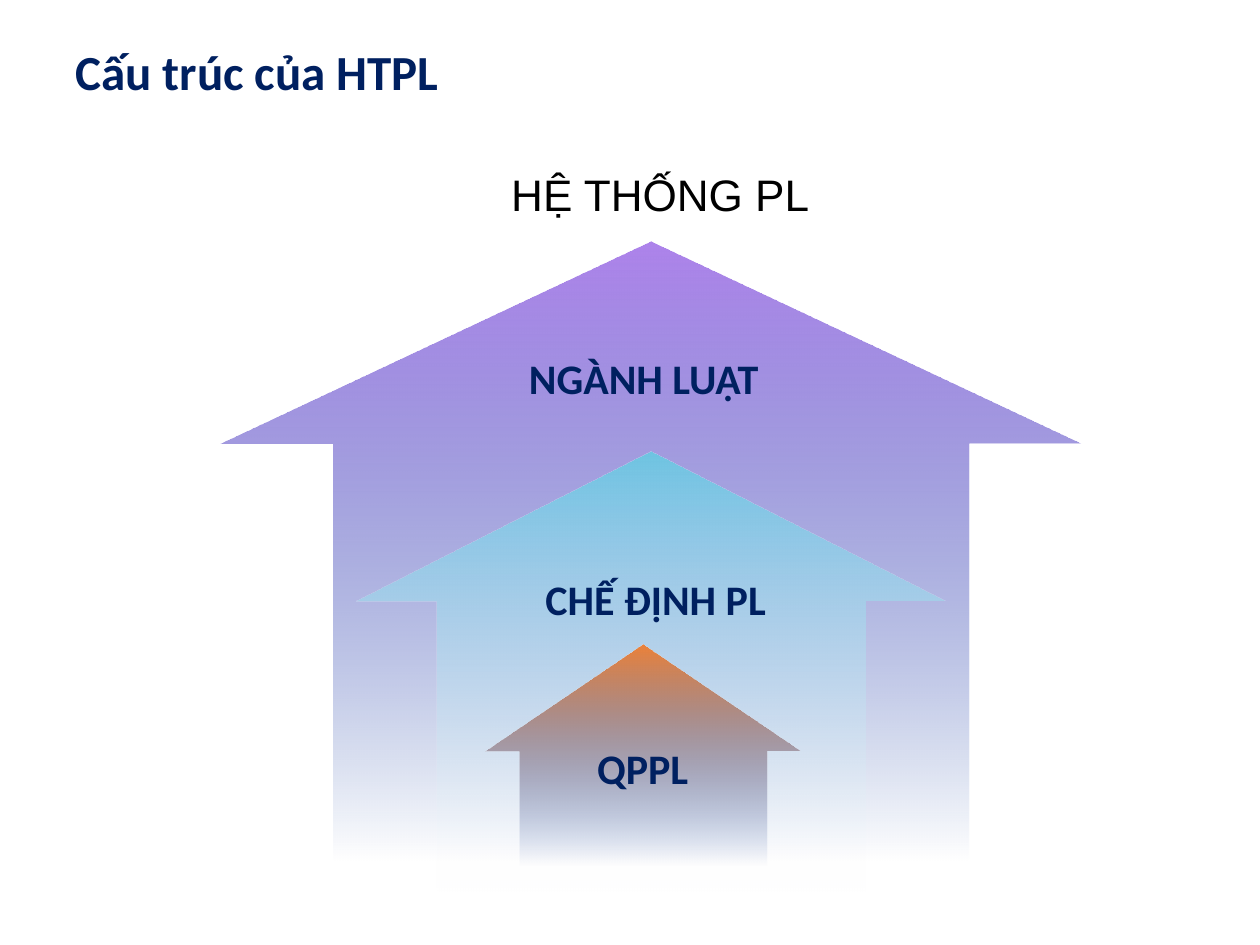
from lxml import etree
from pptx import Presentation
from pptx import util as u
from pptx.dml.color import RGBColor
from pptx.enum import shapes, text
from pptx.oxml.ns import qn

Pt = u.Pt
THEME = {
    "navy": RGBColor.from_string("002060"),
    "black": RGBColor.from_string("000000"),
    "heading": 28,
    "title": 25.2,
    "label": 24,
    "body_font": "Calibri",
    "title_font": "Arial",
}


def write(shape, wording, frame_format, font_format):
    frame = shape.text_frame
    for name, value in frame_format.items():
        setattr(frame, name, value)
    paragraph = frame.paragraphs[0]
    run = paragraph.add_run()
    run.text = wording
    color = font_format["color"]
    for name, value in font_format.items():
        if name != "color":
            setattr(run.font, name, value)
    run.font.color.rgb = color
    return paragraph


prs = Presentation()
prs.slide_width, prs.slide_height = Pt(720), Pt(540)
slide = prs.slides.add_slide(prs.slide_layouts[5])

# Title above the arrows
title = slide.shapes.title
title_place = {"left": 272.9, "top": 90.7, "width": 208.8, "height": 40.3}
for name, value in title_place.items():
    setattr(title, name, Pt(value))
title_line = write(
    title, "HỆ THỐNG PL",
    {"vertical_anchor": text.MSO_ANCHOR.MIDDLE, "word_wrap": True,
     "auto_size": text.MSO_AUTO_SIZE.NONE},
    {"name": THEME["title_font"], "size": Pt(THEME["title"]), "bold": False,
     "color": THEME["black"]})
title_line.alignment = text.PP_ALIGN.CENTER

# Nested arrows, outermost first:
# place, (shaft, head) ratios, top colour, fading colour, label, label place
levels = [
    ((126, 138.2, 491.8, 354.2), (0.738, 0.326), "AD83EB", "003399",
     "NGÀNH LUẬT", (295.2, 198, 146.9, 36)),
    ((203.8, 257.8, 336.2, 252), (0.727, 0.339), "6FC5E3", "FFFFFF",
     "CHẾ ĐỊNH PL", (304.6, 324, 141.8, 36)),
    ((277.2, 368.6, 180, 126), (0.783, 0.482), "EC823A", "003399",
     "QPPL", (334.1, 420.5, 67, 36)),
]
label_font = {"name": THEME["body_font"], "size": Pt(THEME["label"]),
              "bold": True, "color": THEME["navy"]}

for place, ratios, top_color, fade_color, wording, label_place in levels:
    arrow = slide.shapes.add_shape(shapes.MSO_SHAPE.UP_ARROW, *map(Pt, place))
    arrow.shadow.inherit = False
    arrow.line.fill.background()
    for index, ratio in enumerate(ratios):
        arrow.adjustments[index] = ratio

    # Top to bottom, fading to fully transparent
    arrow.fill.gradient()
    arrow.fill.gradient_angle = 270
    for stop, color, position in zip(arrow.fill.gradient_stops,
                                     (top_color, fade_color), (0, 1)):
        stop.color.rgb = RGBColor.from_string(color)
        stop.position = position
    fade = arrow.element.xpath(".//a:gs/a:srgbClr")[-1]
    etree.SubElement(fade, qn("a:alpha")).set("val", "0")

    label = slide.shapes.add_textbox(*map(Pt, label_place))
    write(label, wording,
          {"word_wrap": False, "auto_size": text.MSO_AUTO_SIZE.SHAPE_TO_FIT_TEXT},
          label_font)

# Heading at the top left
heading = slide.shapes.add_textbox(Pt(36), Pt(20.2), Pt(241.9), Pt(41))
write(heading, "Cấu trúc của HTPL",
      {"word_wrap": True, "auto_size": text.MSO_AUTO_SIZE.SHAPE_TO_FIT_TEXT},
      {**label_font, "size": Pt(THEME["heading"])})

prs.save("out.pptx")
